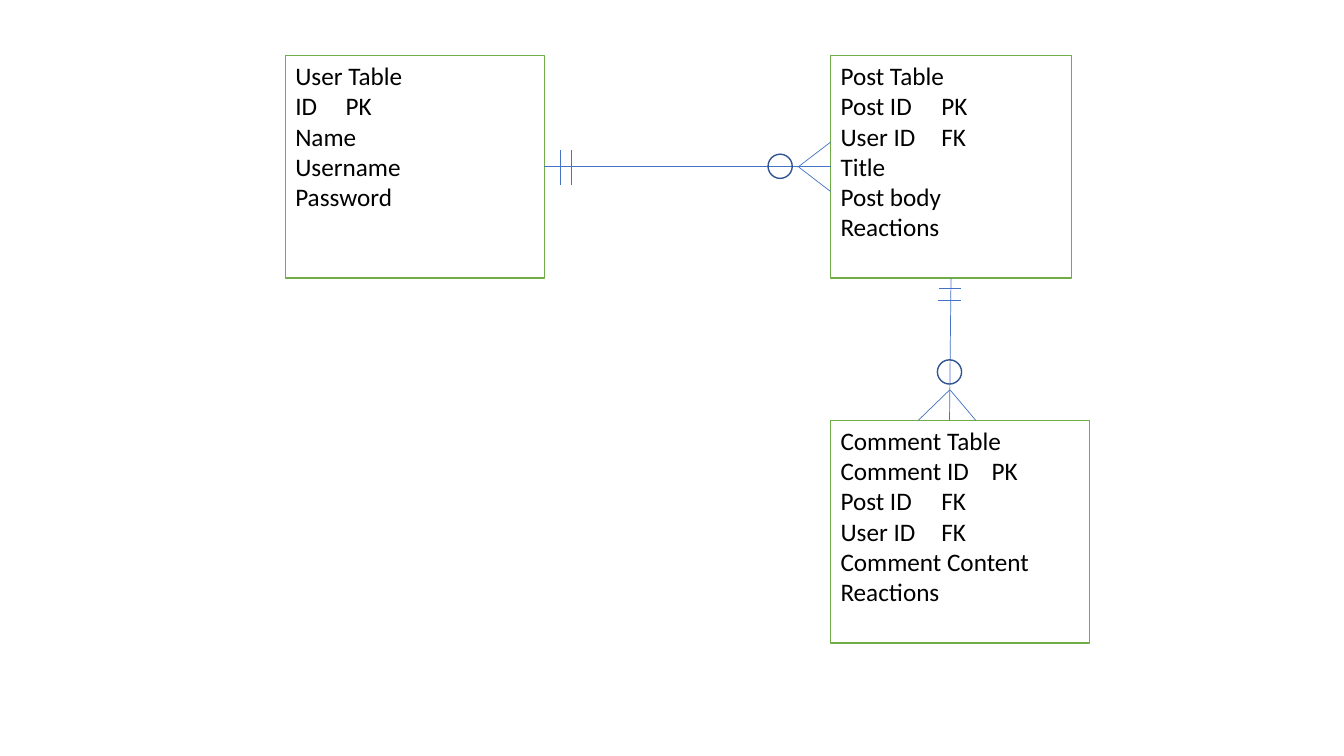
from typing import NamedTuple

from lxml.etree import SubElement
from pptx import Presentation
from pptx.dml.color import RGBColor
from pptx.enum.shapes import MSO_CONNECTOR as Link, MSO_SHAPE as Preset
from pptx.enum.text import MSO_ANCHOR as Anchor, PP_ALIGN as Align
from pptx.oxml.ns import qn
from pptx.util import Inches, Pt

GREEN, BLUE, NAVY = "70AD47", "4472C4", "325491"
TOP, LEFT, BOTTOM, RIGHT = range(4)
POST_LEFT, TOP_ROW, COMMENT_TOP = 61.8, 7.33, 55.6
TABLE_HEIGHT = 29.47


# All positions are percentages of the slide's width and height
class Entity(NamedTuple):
    left: float
    top: float
    width: float
    rows: list[str]


class Stroke(NamedTuple):
    x1: float
    y1: float
    x2: float
    y2: float


class Relation(NamedTuple):
    source: str
    source_side: int
    target: str
    target_side: int | None  # None leaves the end free
    axis: Stroke
    zero: tuple[float, float]
    marks: list[Stroke]  # two "one" bars, then the two outer crow's-foot toes


ENTITIES = {
    "post": Entity(POST_LEFT, TOP_ROW, 17.92, [
        "Post Table", "Post ID\tPK", "User ID\tFK", "Title", "Post body", "Reactions"]),
    "comment": Entity(POST_LEFT, COMMENT_TOP, 19.28, [
        "Comment Table", "Comment ID\tPK", "Post ID\tFK", "User ID \tFK",
        "Comment Content", "Reactions"]),
    "user": Entity(21.23, TOP_ROW, 19.28, [
        "User Table", "ID\tPK", "Name", "Username", "Password"]),
}

RELATIONS = [
    Relation("post", LEFT, "user", RIGHT,
             Stroke(POST_LEFT, 22.07, 40.51, 22.07), (57.15, 20.4), [
                 Stroke(41.7, 19.87, 41.7, 24.53),
                 Stroke(42.53, 19.87, 42.53, 24.53),
                 Stroke(59.35, 22.13, POST_LEFT, 18.8),
                 Stroke(59.45, 22.13, POST_LEFT, 25.33)]),
    Relation("post", BOTTOM, "comment", None,
             Stroke(70.76, 36.8, 70.65, COMMENT_TOP), (69.75, 47.6), [
                 Stroke(69.9, 38.13, 71.48, 38.13),
                 Stroke(69.83, 39.73, 71.48, 39.73),
                 Stroke(70.7, 51.6, 72.6, COMMENT_TOP),
                 Stroke(70.65, 51.6, 68.33, COMMENT_TOP)]),
]

deck = Presentation()
deck.slide_width, deck.slide_height = Inches(13.333), Inches(7.5)
slide = deck.slides.add_slide(deck.slide_layouts[6])


def across(share: float) -> int:
    return round(deck.slide_width * share / 100)


def down(share: float) -> int:
    return round(deck.slide_height * share / 100)


def color(value: str) -> RGBColor:
    return RGBColor.from_string(value)


def draw_outline(kind, left: float, top: float, width: float, height: float, line: str):
    outline = slide.shapes.add_shape(
        kind, across(left), down(top), across(width), down(height))
    outline.shadow.inherit = False
    outline.line.color.rgb = color(line)
    outline.line.width = Pt(1)
    return outline


def draw_entity(entity: Entity):
    box = draw_outline(Preset.RECTANGLE, entity.left, entity.top,
                       entity.width, TABLE_HEIGHT, GREEN)
    box.fill.solid()
    box.fill.fore_color.rgb = color("FFFFFF")
    frame = box.text_frame
    frame.word_wrap = True
    frame.vertical_anchor = Anchor.TOP
    frame.text = "\n".join(entity.rows)
    for row in frame.paragraphs:
        row.alignment = Align.LEFT
        for run in row.runs:
            run.font.name, run.font.size = "Calibri", Pt(18)
            run.font.color.rgb = color("000000")
    return box


def draw_stroke(stroke: Stroke):
    link = slide.shapes.add_connector(
        Link.STRAIGHT, across(stroke.x1), down(stroke.y1),
        across(stroke.x2), down(stroke.y2))
    link.line.color.rgb = color(BLUE)
    link.line.width = Pt(0.5)
    SubElement(link._element.spPr, qn("a:effectLst"))
    return link


def draw_relation(relation: Relation, boxes: dict) -> None:
    axis = draw_stroke(relation.axis)
    axis.begin_connect(boxes[relation.source], relation.source_side)
    if relation.target_side is not None:
        axis.end_connect(boxes[relation.target], relation.target_side)
    for mark in relation.marks:
        draw_stroke(mark)
    zero = draw_outline(Preset.OVAL, *relation.zero, 1.8, 3.2, NAVY)
    zero.fill.background()


# Tables
tables = {name: draw_entity(entity) for name, entity in ENTITIES.items()}

# One-to-many relations
for relation in RELATIONS:
    draw_relation(relation, tables)

deck.save("out.pptx")
